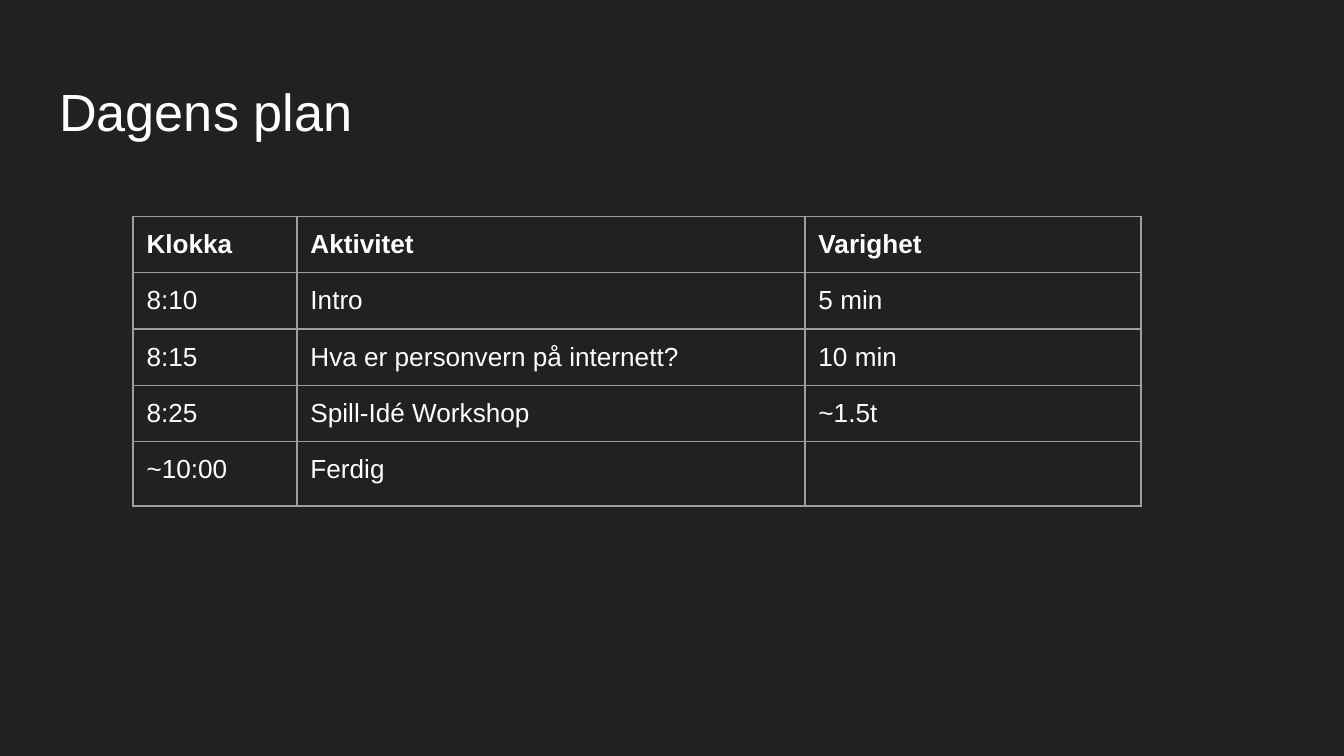
from lxml import etree
from pptx import Presentation
from pptx.dml.color import RGBColor
from pptx.enum.text import MSO_ANCHOR, MSO_AUTO_SIZE, PP_ALIGN
from pptx.oxml.ns import qn
from pptx.util import Inches, Pt

TOP = MSO_ANCHOR.TOP
NO_AUTOFIT = MSO_AUTO_SIZE.NONE
LEFT = PP_ALIGN.LEFT
TITLE_ONLY = 5
COLORS = {"background": "212121", "text": "FFFFFF", "border": "9E9E9E"}
FONT = "Arial"
SLIDE_WIDTH = Inches(10)
SLIDE_HEIGHT = SLIDE_WIDTH * 9 // 16
COLUMN_WIDTHS = [1.22, 3.78, 2.5]
ROW_HEIGHT = 0.38
PLAN = [
    ["Klokka", "Aktivitet", "Varighet"],
    ["8:10", "Intro", "5 min"],
    ["8:15", "Hva er personvern på internett?", "10 min"],
    ["8:25", "Spill-Idé Workshop", "~1.5t"],
    ["~10:00", "Ferdig", ""],
]


def set_attributes(target, values):
    for name, value in values.items():
        setattr(target, name, value)


def write_text(paragraph, text, size, bold=False):
    paragraph.alignment = LEFT
    run = paragraph.add_run()
    run.text = text
    set_attributes(run.font, {"name": FONT, "size": Pt(size), "bold": bold})
    run.font.color.rgb = RGBColor.from_string(COLORS["text"])


def set_empty_font(paragraph):
    properties = etree.SubElement(paragraph._p, qn("a:endParaRPr"))
    etree.SubElement(properties, qn("a:latin"), typeface=FONT)


def margins(inset):
    sides = ("left", "top", "right", "bottom")
    return {f"margin_{side}": Inches(inset) for side in sides}


def add_title(slide, text):
    title = slide.shapes.title
    set_attributes(title, {
        "left": Inches(0.34), "top": Inches(0.49),
        "width": Inches(9.32), "height": Inches(0.63),
    })
    frame = title.text_frame
    set_attributes(frame, {
        **margins(0.1), "word_wrap": True,
        "vertical_anchor": TOP, "auto_size": NO_AUTOFIT,
    })
    write_text(frame.paragraphs[0], text, 28)


def add_borders(cell):
    properties = cell._tc.get_or_add_tcPr()
    for index, side in enumerate(("lnL", "lnR", "lnT", "lnB")):
        line = etree.Element(qn(f"a:{side}"), w=str(Pt(0.75)))
        fill = etree.SubElement(line, qn("a:solidFill"))
        etree.SubElement(fill, qn("a:srgbClr"), val=COLORS["border"])
        properties.insert(index, line)


def format_cell(cell, text, bold):
    set_attributes(cell, {**margins(0.1), "vertical_anchor": TOP})
    cell.fill.background()
    add_borders(cell)
    paragraph = cell.text_frame.paragraphs[0]
    if text:
        write_text(paragraph, text, 14, bold)
    else:
        set_empty_font(paragraph)


def add_plan_table(slide, rows):
    table = slide.shapes.add_table(
        len(rows), len(COLUMN_WIDTHS), Inches(0.99), Inches(1.61),
        Inches(sum(COLUMN_WIDTHS)), Inches(ROW_HEIGHT * len(rows)),
    ).table
    set_attributes(table, {"first_row": False, "horz_banding": False})
    for column, width in zip(table.columns, COLUMN_WIDTHS):
        column.width = Inches(width)
    for row_index, (row, texts) in enumerate(zip(table.rows, rows)):
        row.height = Inches(ROW_HEIGHT)
        for cell, text in zip(row.cells, texts):
            format_cell(cell, text, row_index == 0)


def main():
    presentation = Presentation()
    set_attributes(presentation, {
        "slide_width": SLIDE_WIDTH, "slide_height": SLIDE_HEIGHT,
    })
    slide = presentation.slides.add_slide(presentation.slide_layouts[TITLE_ONLY])
    background = slide.background.fill
    background.solid()
    background.fore_color.rgb = RGBColor.from_string(COLORS["background"])
    add_title(slide, "Dagens plan")
    add_plan_table(slide, PLAN)
    presentation.save("out.pptx")


main()
